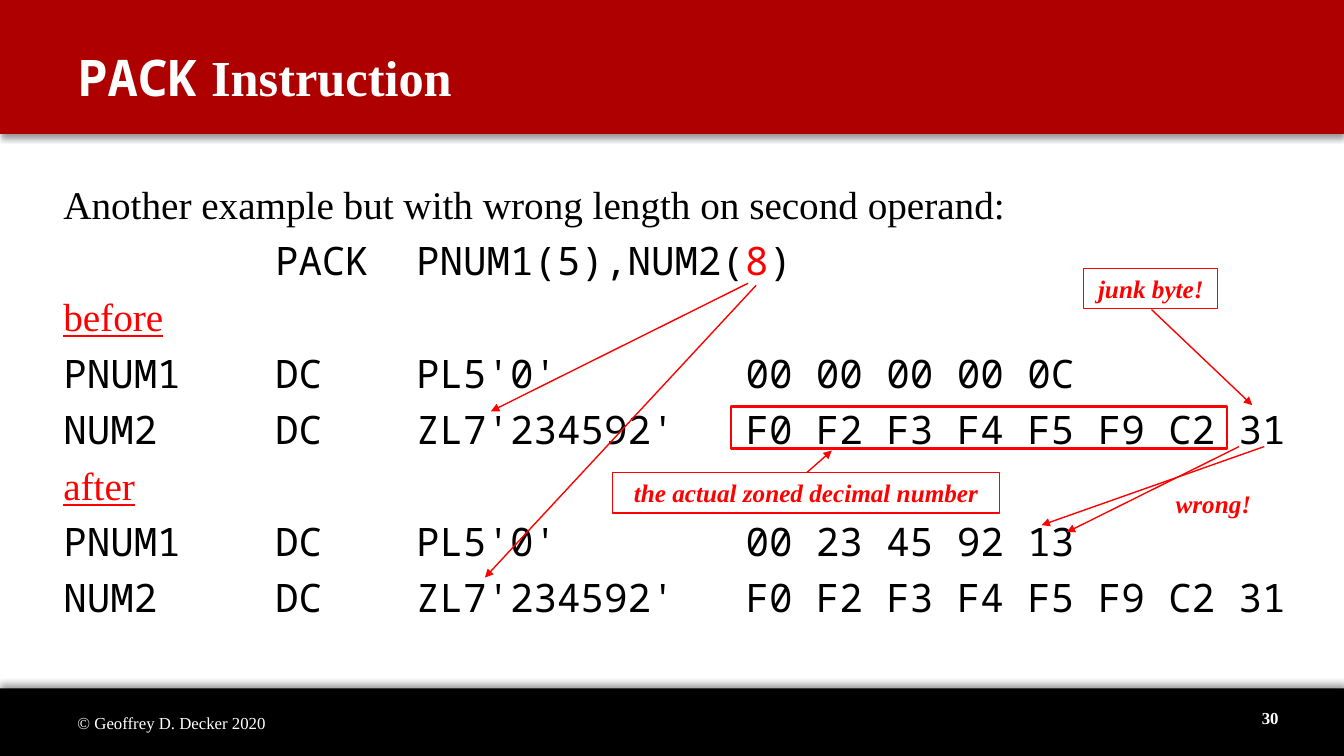
from lxml import etree
from pptx import Presentation
from pptx import util as u
from pptx.dml.color import RGBColor
from pptx.enum import shapes, text
from pptx.oxml.ns import qn


class Theme:
    red, band, black, white = "FF0000", "AF0000", "000000", "FFFFFF"
    serif, mono = "Times New Roman", "Noto Sans Mono"
    title, body, note, small = 36, 28, 18, 12


TITLE = [("PACK", Theme.mono), (" Instruction", Theme.serif)]
INTRO = "Another example but with wrong length on second operand:"
PACK_CALL = [("\tPACK\tPNUM1(5),NUM2(", Theme.black), ("8", Theme.red), (")", Theme.black)]
NUM2 = ("NUM2", "DC", "ZL7'234592'", "F0 F2 F3 F4 F5 F9 C2 31")
STAGES = [
    ("before", [("PNUM1", "DC", "PL5'0'", "00 00 00 00 0C"), NUM2]),
    ("after", [("PNUM1", "DC", "PL5'0'", "00 23 45 92 13"), NUM2]),
]
COLUMN_CHARS = (9, 15, 29)
CHAR_WIDTH = Theme.body * 0.6 / 72

BANDS = [
    ((0, 6.83, 13.33, 0.67), Theme.black, 270),
    ((0, 0, 13.33, 1.33), Theme.band, 90),
]
ZONED_FRAME = (7.25, 4.03, 4.92, 0.42)
NOTES = [
    ("junk byte!", (10.75, 2.66, 1.33, 0.4), True),
    ("the actual zoned decimal number", (6.08, 4.69, 3.83, 0.4), True),
    ("wrong!", (11.16, 4.79, 1.75, 0.4), False),
]
ARROWS = [
    ((7.42, 2.81), (4.87, 4.08)),
    ((7.5, 2.83), (4.81, 5.73)),
    ((11.42, 3.07), (12.42, 4.02)),
    ((8, 4.69), (8.25, 4.47)),
    ((12.54, 4.43), (10.33, 5.21)),
    ((12.29, 4.43), (10.58, 5.28)),
]
CREDIT = "© Geoffrey D. Decker 2020"
PAGE = "30"


def inches(values):
    return [u.Inches(value) for value in values]


def style(font, face=None, size=None, color=None, bold=None, italic=None):
    if face:
        font.name = face
    if size:
        font.size = u.Pt(size)
    if color:
        font.color.rgb = RGBColor.from_string(color)
    if bold:
        font.bold = True
    if italic:
        font.italic = True


def add_rect(slide, box, fill=None, line=None, width=0.75):
    rect = slide.shapes.add_shape(shapes.MSO_SHAPE.RECTANGLE, *inches(box))
    rect.shadow.inherit = False
    if fill:
        rect.fill.solid()
        rect.fill.fore_color.rgb = RGBColor.from_string(fill)
    else:
        rect.fill.background()
    if line:
        rect.line.color.rgb = RGBColor.from_string(line)
        rect.line.width = u.Pt(width)
    else:
        rect.line.fill.background()
    return rect


def add_band(slide, box, fill, angle):
    effects = add_rect(slide, box, fill)._element.spPr.find(qn("a:effectLst"))
    shadow = etree.SubElement(effects, qn("a:outerShdw"), blurRad=str(u.Pt(4)),
                              dist=str(u.Pt(3)), dir=str(angle * 60000), rotWithShape="0")
    tint = etree.SubElement(shadow, qn("a:srgbClr"), val=Theme.black)
    etree.SubElement(tint, qn("a:alpha"), val="40000")


def add_arrow(slide, start, end):
    arrow = slide.shapes.add_connector(shapes.MSO_CONNECTOR.STRAIGHT, *inches(start + end))
    arrow.line.color.rgb = RGBColor.from_string(Theme.red)
    arrow.line.width = u.Pt(1)
    etree.SubElement(arrow.line._get_or_add_ln(), qn("a:tailEnd"), type="triangle")
    etree.SubElement(arrow._element.spPr, qn("a:effectLst"))


def add_text(slide, box, anchor=text.MSO_ANCHOR.MIDDLE):
    frame = slide.shapes.add_textbox(*inches(box)).text_frame
    frame.word_wrap = True
    frame.vertical_anchor = anchor
    return frame


def add_label(slide, box, words, align, bold=False):
    paragraph = add_text(slide, box).paragraphs[0]
    paragraph.text = words
    paragraph.alignment = align
    style(paragraph.font, Theme.serif, Theme.small, Theme.white, bold)


def add_note(slide, words, box, framed):
    frame = add_rect(slide, box, line=Theme.red if framed else None).text_frame
    frame.word_wrap = True
    paragraph = frame.paragraphs[0]
    paragraph.text = words
    paragraph.alignment = text.PP_ALIGN.CENTER
    style(paragraph.font, Theme.serif, Theme.note, Theme.red, True, True)


def set_columns(paragraph):
    stops = etree.Element(qn("a:tabLst"))
    for chars in COLUMN_CHARS:
        etree.SubElement(stops, qn("a:tab"), pos=str(u.Inches(chars * CHAR_WIDTH)), algn="l")
    paragraph._p.get_or_add_pPr().find(qn("a:defRPr")).addprevious(stops)


def add_listing(slide):
    frame = add_text(slide, (0.53, 1.74, 12.5, 5.0), text.MSO_ANCHOR.TOP)
    lines = [([(INTRO, Theme.black)], Theme.serif), (PACK_CALL, Theme.mono)]
    for stage, rows in STAGES:
        lines.append(([(stage, Theme.red)], Theme.serif))
        lines += [([("\t".join(row), Theme.black)], Theme.mono) for row in rows]
    for index, (runs, face) in enumerate(lines):
        paragraph = frame.add_paragraph() if index else frame.paragraphs[0]
        paragraph.space_before = u.Pt(6.5)
        style(paragraph.font, face, Theme.body)
        paragraph.font.underline = runs[0][1] == Theme.red
        if face == Theme.mono:
            set_columns(paragraph)
        for words, color in runs:
            run = paragraph.add_run()
            run.text = words
            style(run.font, color=color)


def add_title(slide):
    paragraph = add_text(slide, (0.67, 0.17, 11, 1.17)).paragraphs[0]
    style(paragraph.font, size=Theme.title, color=Theme.white, bold=True)
    for words, face in TITLE:
        run = paragraph.add_run()
        run.text = words
        style(run.font, face)


def main():
    deck = Presentation()
    deck.slide_width, deck.slide_height = inches((13.33, 7.5))
    slide = deck.slides.add_slide(deck.slide_layouts[6])
    for band in BANDS:
        add_band(slide, *band)
    add_listing(slide)
    add_title(slide)
    add_rect(slide, ZONED_FRAME, line=Theme.red, width=2)
    for note in NOTES:
        add_note(slide, *note)
    for arrow in ARROWS:
        add_arrow(slide, *arrow)
    add_label(slide, (0.67, 6.97, 4.22, 0.4), CREDIT, text.PP_ALIGN.LEFT)
    add_label(slide, (10.78, 6.92, 2, 0.4), PAGE, text.PP_ALIGN.RIGHT, True)
    deck.save("out.pptx")


if __name__ == "__main__":
    main()
